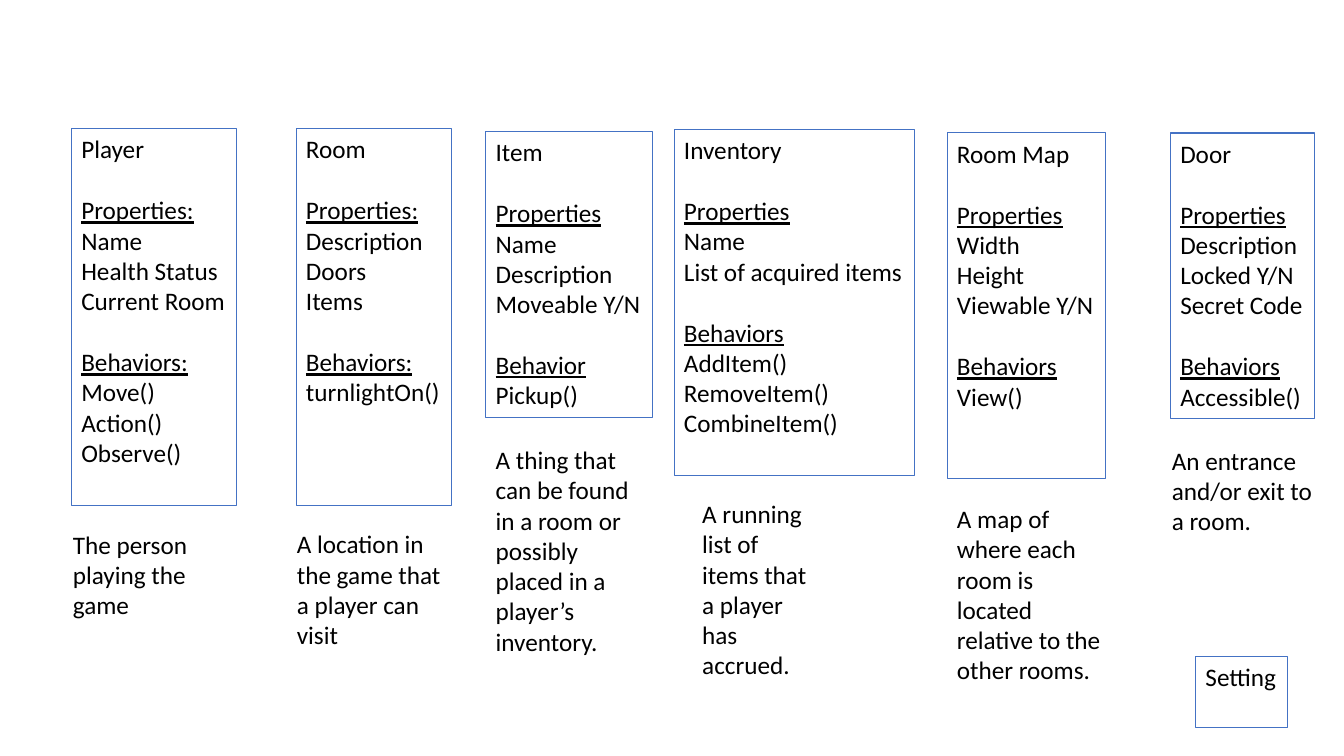
from pptx import Presentation
from pptx import util as u
from pptx.dml import color
from pptx.enum import shapes, text

Pt = u.Pt
deck = Presentation()
deck.slide_width, deck.slide_height = Pt(960), Pt(540)
slide = deck.slides.add_slide(deck.slide_layouts[6])


def paint(hue):
    return color.RGBColor.from_string(hue)


def write(frame, lines, size=18, font="Calibri", hue="000000", heads=(), right=7.2):
    """Write one paragraph per line; heads are underlined with a gap above."""
    frame.word_wrap = True
    frame.vertical_anchor = text.MSO_ANCHOR.TOP
    frame.margin_right = Pt(right)
    for i, line in enumerate(lines):
        para = frame.paragraphs[0] if i == 0 else frame.add_paragraph()
        para.alignment = text.PP_ALIGN.LEFT
        run = para.add_run()
        run.text = line
        run.font.size, run.font.name = Pt(size), font
        run.font.color.rgb = paint(hue)
        if line in heads:
            run.font.underline = True
            para.space_before = Pt(22)


# Class cards: left, top, width, height, lines
cards = [
    (51, 92, 118, 269, ["Player", "Properties:", "Name", "Health Status",
                        "Current Room", "Behaviors:", "Move()", "Action()", "Observe()"]),
    (211.5, 92, 111, 269, ["Room", "Properties:", "Description", "Doors", "Items",
                           "Behaviors:", "turnlightOn()"]),
    (347, 94, 119, 204, ["Item", "Properties", "Name", "Description",
                         "Moveable Y/N", "Behavior", "Pickup()"]),
    (481.5, 92.5, 172, 247, ["Inventory", "Properties", "Name", "List of acquired items",
                             "Behaviors", "AddItem()", "RemoveItem()", "CombineItem()"]),
    (676.5, 95, 113, 247, ["Room Map", "Properties", "Width", "Height",
                           "Viewable Y/N", "Behaviors", "View()"]),
    (836, 95, 103, 204, ["Door", "Properties", "Description", "Locked Y/N",
                         "Secret Code", "Behaviors", "Accessible()"]),
    (854, 469, 66, 51, ["Setting"]),
]
heads = {"Properties:", "Properties", "Behaviors:", "Behaviors", "Behavior"}
for left, top, width, height, lines in cards:
    card = slide.shapes.add_shape(shapes.MSO_SHAPE.RECTANGLE,
                                  Pt(left), Pt(top), Pt(width), Pt(height))
    card.shadow.inherit = False
    card.fill.background()
    card.line.color.rgb = paint("4472C4")
    card.line.width = Pt(0.75)
    write(card.text_frame, lines, heads=heads, right=0)

# Descriptions below the cards: left, top, width, rows, words
notes = [
    (45, 374.5, 124, 3, "The person playing the game"),
    (205, 374, 124, 4, "A location in the game that a player can visit"),
    (347, 314, 124, 7, "A thing that can be found in a room or possibly placed "
                       "in a player’s inventory."),
    (494.5, 352.5, 90, 6, "A running list of items that a player has accrued."),
    (676.5, 356, 124, 6, "A map of where each room is located relative to the other rooms."),
    (830, 314.5, 124, 3, "An entrance and/or exit to a room."),
]
for left, top, width, rows, words in notes:
    note = slide.shapes.add_textbox(Pt(left), Pt(top), Pt(width), Pt(7 + 22 * rows))
    write(note.text_frame, [words])

deck.save("out.pptx")
